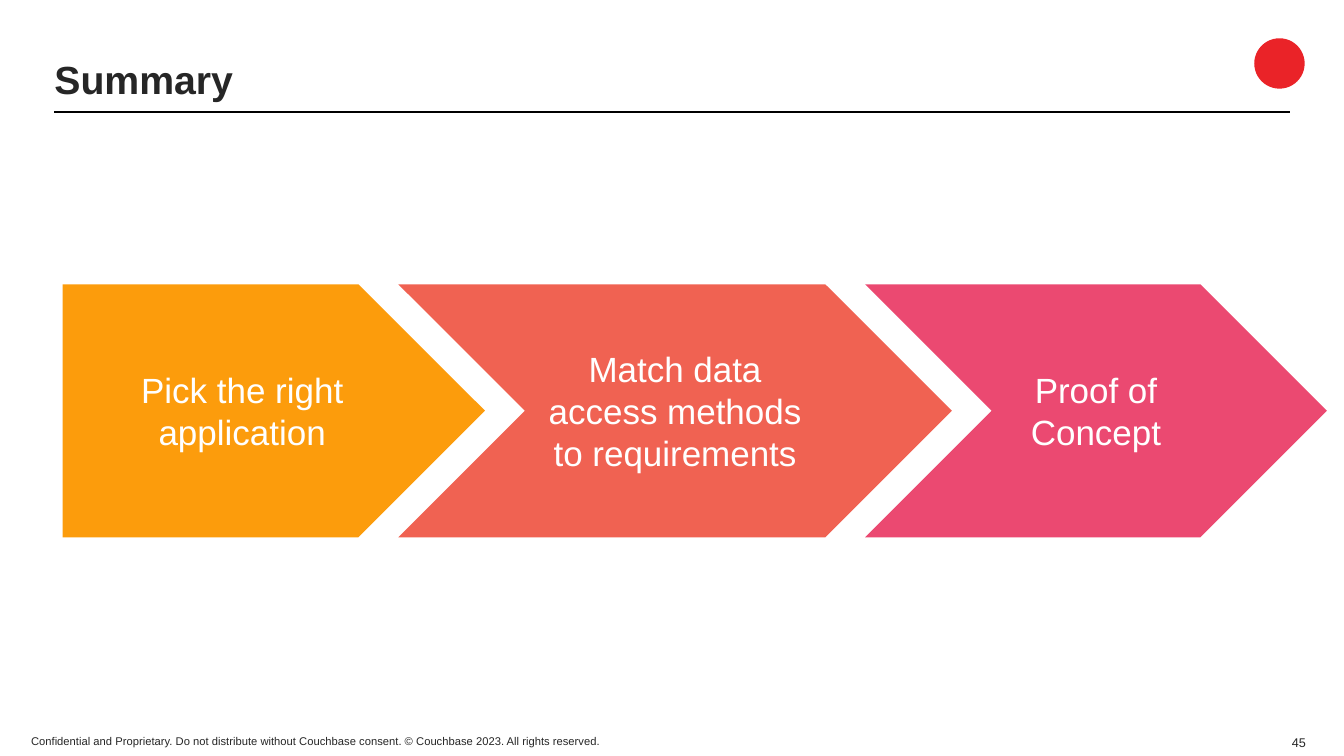
from lxml import etree
from pptx import Presentation
from pptx import util as u
from pptx.dml.color import RGBColor
from pptx.enum import shapes, text
from pptx.oxml.ns import qn


def colour(hex_code):
    return RGBColor.from_string(hex_code)


class SlideBuilder:
    """Holds the shared style and the slide being built."""

    font_name = "Arial"
    ink = "262626"

    def __init__(self, slide):
        self.slide = slide

    def set_wording(self, frame, wording, size, hex_code, align, anchor, bold=False, inset=0.05):
        frame.text = wording
        frame.word_wrap = True
        frame.auto_size = text.MSO_AUTO_SIZE.NONE
        frame.vertical_anchor = anchor
        frame.margin_left = frame.margin_right = u.Inches(0.1)
        frame.margin_top = frame.margin_bottom = u.Inches(inset)
        paragraph = frame.paragraphs[0]
        paragraph.alignment = align
        paragraph.font.name = self.font_name
        paragraph.font.size = u.Pt(size)
        paragraph.font.bold = bold
        paragraph.font.color.rgb = colour(hex_code)
        return paragraph

    def title(self, wording, left, top, width, height):
        heading = self.slide.shapes.title
        heading.left, heading.top = u.Inches(left), u.Inches(top)
        heading.width, heading.height = u.Inches(width), u.Inches(height)
        paragraph = self.set_wording(heading.text_frame, wording, 28, self.ink,
                                     text.PP_ALIGN.LEFT, text.MSO_ANCHOR.MIDDLE, bold=True)
        paragraph.line_spacing = 0.9

    def label(self, wording, left, top, width, height, size, align=text.PP_ALIGN.LEFT):
        box = self.slide.shapes.add_textbox(
            u.Inches(left), u.Inches(top), u.Inches(width), u.Inches(height))
        self.set_wording(box.text_frame, wording, size, self.ink, align, text.MSO_ANCHOR.BOTTOM)

    def rule(self, left, right, top):
        line = self.slide.shapes.add_connector(
            shapes.MSO_CONNECTOR.STRAIGHT,
            u.Inches(left), u.Inches(top), u.Inches(right), u.Inches(top))
        line.line.color.rgb = colour("000000")
        line.line.width = u.Pt(1)
        etree.SubElement(line._element.spPr, qn("a:effectLst"))

    def shape(self, preset, left, top, width, height, hex_code):
        block = self.slide.shapes.add_shape(
            preset, u.Inches(left), u.Inches(top), u.Inches(width), u.Inches(height))
        block.shadow.inherit = False
        block.fill.solid()
        block.fill.fore_color.rgb = colour(hex_code)
        block.line.fill.background()
        return block

    def step(self, wording, preset, left, top, width, height, hex_code):
        arrow = self.shape(preset, left, top, width, height, hex_code)
        arrow.adjustments[0] = 0.5
        self.set_wording(arrow.text_frame, wording, 25, "FFFFFF",
                         text.PP_ALIGN.CENTER, text.MSO_ANCHOR.MIDDLE, inset=0.1)


def main():
    deck = Presentation()
    deck.slide_width, deck.slide_height = u.Inches(13.33), u.Inches(7.5)
    summary = SlideBuilder(deck.slides.add_slide(deck.slide_layouts[5]))

    summary.label("Confidential and Proprietary. Do not distribute without Couchbase consent. "
                  "© Couchbase 2023. All rights reserved.", 0.21, 7.23, 5.97, 0.24, 8)
    summary.label("45", 12.69, 7.24, 0.36, 0.25, 9, text.PP_ALIGN.RIGHT)
    summary.shape(shapes.MSO_SHAPE.OVAL, 12.44, 0.38, 0.5, 0.5, "EA2328")
    summary.rule(0.54, 12.79, 1.11)
    summary.title("Summary", 0.44, 0.51, 11.96, 0.6)

    steps = [
        ("Pick the right application", shapes.MSO_SHAPE.PENTAGON, 4.19, "FC9C0C"),
        ("Match data access methods to requirements", shapes.MSO_SHAPE.CHEVRON, 5.49, "F06252"),
        ("Proof of Concept", shapes.MSO_SHAPE.CHEVRON, 4.58, "EB4971"),
    ]
    left, overlap = 0.62, 0.86
    for wording, preset, width, hex_code in steps:
        summary.step(wording, preset, left, 2.82, width, 2.51, hex_code)
        left += width - overlap

    deck.save("out.pptx")


if __name__ == "__main__":
    main()
